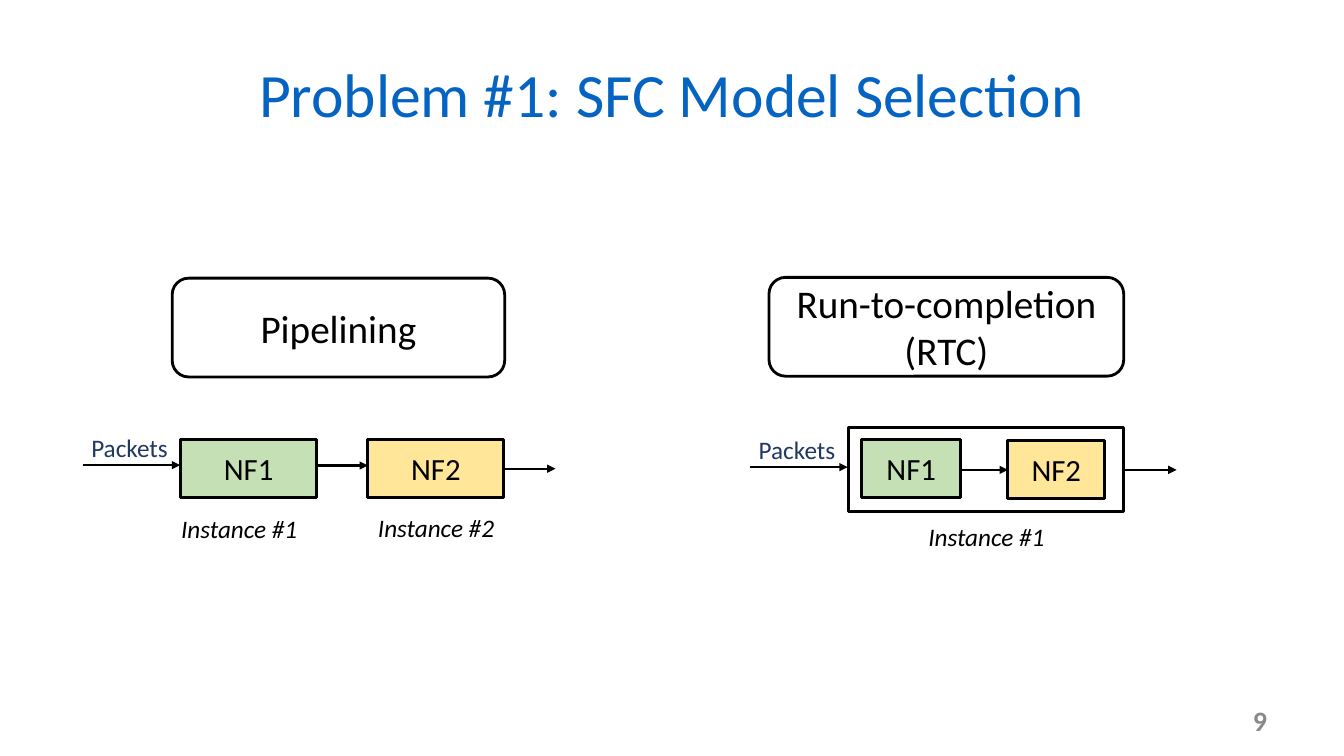
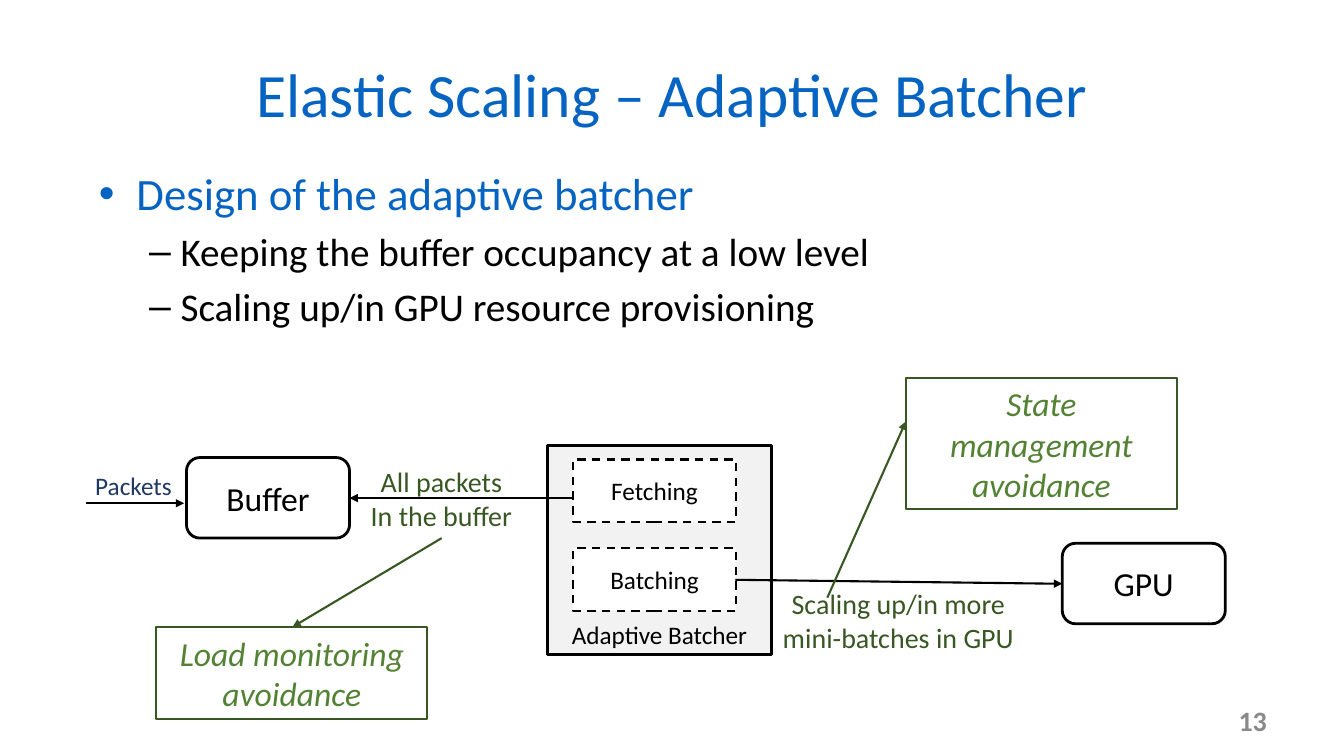
from lxml import etree
from pptx import Presentation
from pptx.dml.color import RGBColor
from pptx.enum.dml import MSO_LINE
from pptx.enum.shapes import MSO_CONNECTOR, MSO_SHAPE
from pptx.enum.text import MSO_ANCHOR, PP_ALIGN
from pptx.oxml.ns import qn
from pptx.util import Cm, Pt

RECTANGLE, ROUNDED = MSO_SHAPE.RECTANGLE, MSO_SHAPE.ROUNDED_RECTANGLE
STRAIGHT, DASH = MSO_CONNECTOR.STRAIGHT, MSO_LINE.DASH
TOP, MIDDLE, BOTTOM = MSO_ANCHOR.TOP, MSO_ANCHOR.MIDDLE, MSO_ANCHOR.BOTTOM
LEFT, CENTER, RIGHT = PP_ALIGN.LEFT, PP_ALIGN.CENTER, PP_ALIGN.RIGHT

# Shared style
FONT = "Calibri"
BLACK, WHITE, PALE_GRAY, GRAY = "000000", "FFFFFF", "F2F2F2", "898989"
BLUE, NAVY = "0563C1", "203864"
DARK_GREEN, GREEN = "385723", "548235"
STAGE_FILLS = {"NF1": "C5E0B4", "NF2": "FFE699"}
TITLE_AREA = (1.7, 0.76, 30.48, 3.18)
NUMBER_AREA = (24.28, 17.65, 7.9, 1.02)
LABEL_HEIGHT = 1.02

# Slide 9 content: lengths in cm
STAGE_HEIGHT = 1.47
EXIT_LENGTH = 1.3
MODELS = [
    {
        "name": "Pipelining", "header": (4.34, 7.01, 8.38, 2.49),
        "frame": None,
        "packets": (1.6, 10.77),
        "stages": [("NF1", 4.55, 11.07, 3.43), ("NF2", 9.27, 11.07, 3.43)],
        "link_y": 11.73, "exit": (12.7, 11.81),
        "captions": [("Instance #1", 3.78, 12.8), ("Instance #2", 8.74, 12.78)],
    },
    {
        "name": "Run-to-completion (RTC)", "header": (19.38, 6.99, 8.94, 2.49),
        "frame": (21.39, 10.77, 6.93, 2.13),
        "packets": (18.42, 10.82),
        "stages": [("NF1", 21.72, 11.07, 2.49), ("NF2", 25.4, 11.1, 2.44)],
        "link_y": 11.84, "exit": (28.35, 11.84),
        "captions": [("Instance #1", 22.61, 13)],
    },
]

# Slide 13 content
BULLETS = [
    (0, "Design of the adaptive batcher"),
    (1, "Keeping the buffer occupancy at a low level"),
    (1, "Scaling up/in GPU resource provisioning"),
]
# Per level: mark, left margin, hanging indent, size, colour
BULLET_STYLES = [("•", 0.95, 0.95, 32, BLUE), ("–", 2.06, 0.79, 28, BLACK)]
BODY_AREA = (2.24, 4.06, 28.52, 6.07)
BATCHER_AREA = (13.79, 11.23, 5.66, 5.26)
BATCHER_PACKETS = (1.7, 11.73)
DEVICES = [("Buffer", 4.7, 11.53), ("GPU", 26.77, 13.69)]
DEVICE_SIZE = (4.11, 2.03)
STEPS = [("Fetching", 14.45, 11.58), ("Batching", 14.45, 13.82)]
STEP_SIZE = (4.09, 1.57)
FLOWS = [(14.45, 12.55, 8.81, 12.55), (18.53, 14.61, 26.77, 14.71)]
FLOW_LABELS = [
    ("All packets\nIn the buffer", (8.79, 11.58, 4.67, 1.96)),
    ("Scaling up/in more mini-batches in GPU", (19.3, 14.66, 6.68, 1.96)),
]
BENEFITS = [
    ("Load monitoring avoidance", (3.94, 15.8, 6.83, 2.31),
     (11.13, 13.56, 7.37, 15.8)),
    ("State management avoidance", (22.83, 9.53, 6.83, 3.3),
     (20.85, 15.06, 22.83, 10.62)),
]


def color(hex_string):
    return RGBColor.from_string(hex_string)


def style_font(font, size, hex_string, bold=False, italic=False):
    font.name, font.size = FONT, Pt(size)
    font.color.rgb = color(hex_string)
    font.bold, font.italic = bold, italic


def write(shape, text, size, hex_string=BLACK, anchor=MIDDLE, align=CENTER,
          bold=False, italic=False):
    frame = shape.text_frame
    frame.word_wrap = True
    frame.vertical_anchor = anchor
    frame.text = text
    for paragraph in frame.paragraphs:
        paragraph.alignment = align
        for run in paragraph.runs:
            style_font(run.font, size, hex_string, bold, italic)


def add_text(slide, area, text, size, hex_string=BLACK, anchor=TOP, **style):
    box = slide.shapes.add_textbox(*map(Cm, area))
    write(box, text, size, hex_string, anchor, **style)
    return box


def add_box(slide, area, kind=RECTANGLE, fill=WHITE, line=BLACK, width=2,
            dash=None):
    shape = slide.shapes.add_shape(kind, *map(Cm, area))
    shape.shadow.inherit = False
    shape.fill.solid()
    shape.fill.fore_color.rgb = color(fill)
    shape.line.color.rgb = color(line)
    shape.line.width = Pt(width)
    if dash:
        shape.line.dash_style = dash
    return shape


def add_arrow(slide, points, hex_string=BLACK):
    arrow = slide.shapes.add_connector(STRAIGHT, *map(Cm, points))
    arrow.line.color.rgb = color(hex_string)
    arrow.line.width = Pt(1.5)
    properties = arrow._element.spPr
    line = properties.find(qn("a:ln"))
    etree.SubElement(line, qn("a:tailEnd"), type="triangle")
    etree.SubElement(properties, qn("a:effectLst"))


def add_packets(slide, left, top):
    start, level = left + 0.48, top + 0.95
    add_arrow(slide, (start, level, start + 2.46, level))
    add_text(slide, (left, top, 3.33, LABEL_HEIGHT), "Packets", 18, NAVY)


def add_bullets(slide):
    frame = slide.shapes.add_textbox(*map(Cm, BODY_AREA)).text_frame
    frame.word_wrap = True
    frame.text = "\n".join(text for _, text in BULLETS)
    for paragraph, (level, _) in zip(frame.paragraphs, BULLETS):
        mark, margin, hanging, size, hex_string = BULLET_STYLES[level]
        paragraph.level = level
        paragraph.alignment = LEFT
        paragraph.space_before = Pt(size * 0.2)
        style_font(paragraph.runs[0].font, size, hex_string)
        properties = paragraph._p.get_or_add_pPr()
        properties.set("marL", str(Cm(margin)))
        properties.set("indent", str(-Cm(hanging)))
        etree.SubElement(properties, qn("a:buFont"), typeface="Arial")
        etree.SubElement(properties, qn("a:buChar"), char=mark)


def add_slide(presentation, title, number):
    slide = presentation.slides.add_slide(presentation.slide_layouts[6])
    add_text(slide, TITLE_AREA, title, 44, BLUE, MIDDLE)
    add_text(slide, NUMBER_AREA, str(number), 20, GRAY, MIDDLE,
             align=RIGHT, bold=True)
    return slide


def add_model(slide, model):
    write(add_box(slide, model["header"], ROUNDED), model["name"], 28)
    if model["frame"]:
        add_box(slide, model["frame"])
    for name, left, top, width in model["stages"]:
        stage = add_box(slide, (left, top, width, STAGE_HEIGHT),
                        fill=STAGE_FILLS[name])
        write(stage, name, 22)
    add_packets(slide, *model["packets"])
    # Link the two stages, then lead out of the model
    (_, left, _, width), (_, next_left, _, _) = model["stages"]
    level = model["link_y"]
    add_arrow(slide, (left + width, level, next_left, level))
    start, level = model["exit"]
    add_arrow(slide, (start, level, start + EXIT_LENGTH, level))
    for text, left, top in model["captions"]:
        add_text(slide, (left, top, 4.5, LABEL_HEIGHT), text, 18, italic=True)


presentation = Presentation()
presentation.slide_width, presentation.slide_height = Cm(33.87), Cm(19.05)

# Slide 9: two service chain models
slide = add_slide(presentation, "Problem #1: SFC Model Selection", 9)
for model in MODELS:
    add_model(slide, model)

# Slide 13: adaptive batcher
slide = add_slide(presentation, "Elastic Scaling – Adaptive Batcher", 13)
add_bullets(slide)
batcher = add_box(slide, BATCHER_AREA, fill=PALE_GRAY)
write(batcher, "Adaptive Batcher", 18, anchor=BOTTOM)
for name, left, top in DEVICES:
    write(add_box(slide, (left, top, *DEVICE_SIZE), ROUNDED), name, 24)
for name, left, top in STEPS:
    step = add_box(slide, (left, top, *STEP_SIZE), width=1.5, dash=DASH)
    write(step, name, 18)
add_packets(slide, *BATCHER_PACKETS)
for points in FLOWS:
    add_arrow(slide, points)
for text, area in FLOW_LABELS:
    add_text(slide, area, text, 20, DARK_GREEN)
for text, area, points in BENEFITS:
    benefit = add_box(slide, area, line=DARK_GREEN, width=1.5)
    write(benefit, text, 24, GREEN, italic=True)
    add_arrow(slide, points, DARK_GREEN)

presentation.save("out.pptx")
